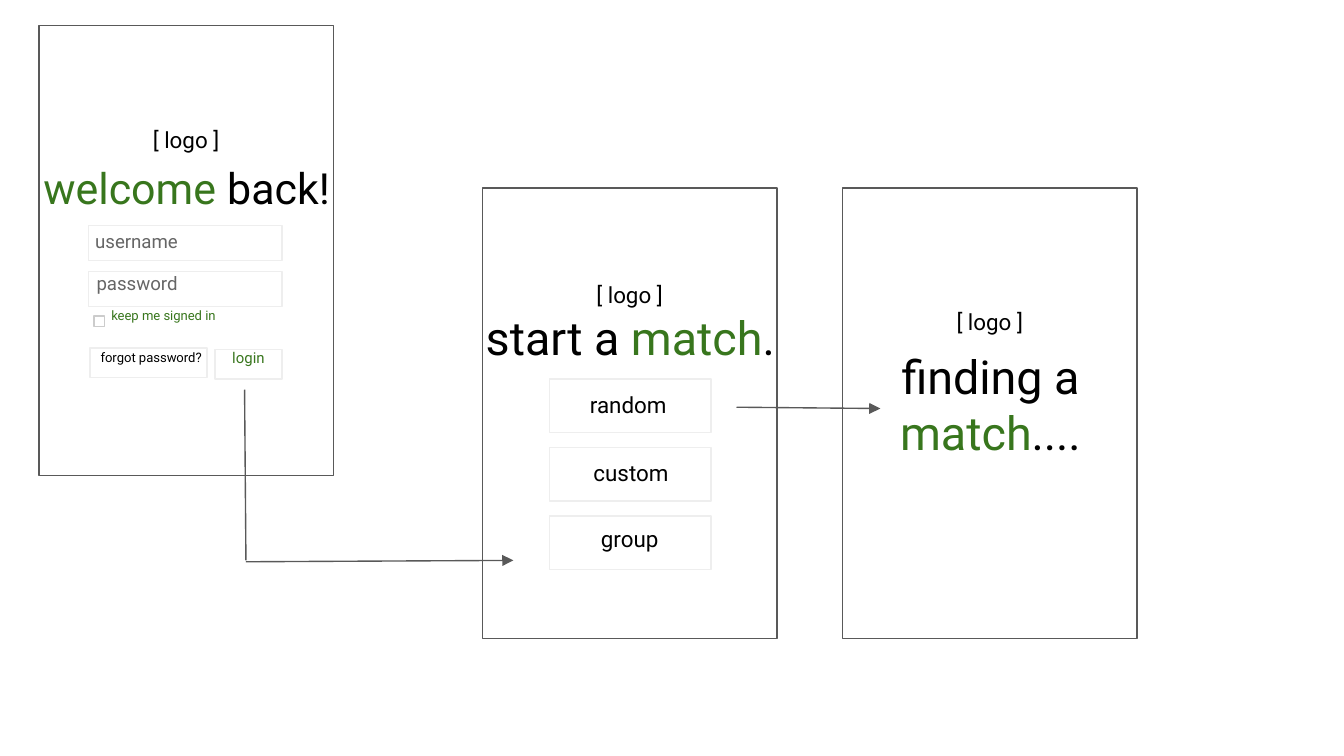
"""Build a wireframe slide of the login, match start and match search screens."""
from lxml import etree
from pptx import Presentation
from pptx import util as u
from pptx.dml.color import RGBColor
from pptx.enum import shapes, text
from pptx.oxml.ns import qn

COLORS = {
    "white": "FFFFFF",
    "black": "000000",
    "green": "38761D",
    "hint": "666666",
    "frame": "595959",
    "field": "EEEEEE",
    "checkbox": "CCCCCC",
}
FONT = "Roboto"
SCREEN_SIZE = (2.19, 3.35)
OPTION_SIZE = (1.2, 0.4)


def rgb(name):
    """Return the named palette colour."""
    return RGBColor.from_string(COLORS[name])


def add_box(slide, left, top, width, height, outline="field"):
    """Add a white rectangle with a thin outline."""
    box = slide.shapes.add_shape(
        shapes.MSO_SHAPE.RECTANGLE, *map(u.Inches, (left, top, width, height)))
    box.shadow.inherit = False
    box.fill.solid()
    box.fill.fore_color.rgb = rgb("white")
    box.line.color.rgb = rgb(outline)
    box.line.width = u.Pt(0.75)


def add_text(slide, parts, left, top, width, height, size=12, centered=True):
    """Add one paragraph made of (wording, colour) parts."""
    label = slide.shapes.add_textbox(*map(u.Inches, (left, top, width, height)))
    frame = label.text_frame
    frame.word_wrap = True
    frame.auto_size = text.MSO_AUTO_SIZE.SHAPE_TO_FIT_TEXT
    frame.margin_left = frame.margin_right = u.Inches(0.1)
    frame.margin_top = frame.margin_bottom = u.Inches(0.1)
    paragraph = frame.paragraphs[0]
    paragraph.alignment = text.PP_ALIGN.CENTER if centered else text.PP_ALIGN.LEFT
    for wording, color in parts:
        run = paragraph.add_run()
        run.text = wording
        run.font.name = FONT
        run.font.size = u.Pt(size)
        run.font.color.rgb = rgb(color)


def add_flow(slide, start, end, arrow=True):
    """Add a straight flow line, with an arrowhead at its end if wanted."""
    flow = slide.shapes.add_connector(
        shapes.MSO_CONNECTOR.STRAIGHT, *map(u.Inches, (*start, *end)))
    flow.line.color.rgb = rgb("frame")
    flow.line.width = u.Pt(0.75)
    properties = flow._element.spPr
    if arrow:
        etree.SubElement(properties.find(qn("a:ln")), qn("a:tailEnd"), type="triangle")
    etree.SubElement(properties, qn("a:effectLst"))


def add_screen(slide, left, top, logo_top, title, title_top, title_height, title_size):
    """Add a screen frame with its logo label and title."""
    add_box(slide, left, top, *SCREEN_SIZE, outline="frame")
    add_text(slide, title, left - 0.13, title_top, 2.46, title_height, size=title_size)
    add_text(slide, [("[ logo ]", "black")], left + 0.66, logo_top, 0.87, 0.4)


def add_login_screen(slide):
    """Add the login screen with its fields and buttons."""
    add_screen(slide, 0.29, 0.19, 0.84,
               [("welcome", "green"), (" back!", "black")], 1.1, 0.59, 23)
    for field_top in (1.68, 2.02):
        add_box(slide, 0.66, field_top, 1.44, 0.26)
    add_box(slide, 0.67, 2.59, 0.87, 0.22)
    add_box(slide, 1.6, 2.6, 0.5, 0.22)
    add_box(slide, 0.7, 2.35, 0.08, 0.08, outline="checkbox")
    for wording, color, left, top, width, height, size in (
        ("username", "hint", 0.61, 1.63, 1.15, 0.37, 10),
        ("password", "hint", 0.62, 1.94, 1.15, 0.37, 10),
        ("keep me signed in", "green", 0.73, 2.23, 1.1, 0.32, 7),
        ("forgot password?", "black", 0.65, 2.54, 1.15, 0.32, 7),
        ("login", "green", 1.63, 2.53, 0.54, 0.34, 8),
    ):
        add_text(slide, [(wording, color)], left, top, width, height,
                 size=size, centered=False)


def add_start_screen(slide):
    """Add the screen that offers three kinds of match."""
    add_screen(slide, 3.59, 1.4, 1.99,
               [("start a", "black"), (" match", "green"), (".", "black")],
               2.2, 0.62, 25)
    for index, (option, left, top) in enumerate(
            (("random", 4.1, 2.81), ("custom", 4.12, 3.32), ("group", 4.11, 3.81))):
        add_box(slide, 4.09, 2.82 + 0.51 * index, *OPTION_SIZE)
        add_text(slide, [(option, "black")], left, top, 1.15, 0.4)


def add_search_screen(slide):
    """Add the screen shown while a match is being found."""
    add_screen(slide, 6.27, 1.4, 2.19,
               [("finding a ", "black"), ("match", "green"), ("....", "black")],
               2.49, 1.04, 25)


def main():
    """Build and save the slide."""
    deck = Presentation()
    deck.slide_width = u.Inches(10)
    deck.slide_height = u.Inches(10 * 9 / 16)
    slide = deck.slides.add_slide(deck.slide_layouts[6])
    add_login_screen(slide)
    add_start_screen(slide)
    add_search_screen(slide)
    add_flow(slide, (1.82, 2.9), (1.83, 4.17), arrow=False)
    add_flow(slide, (1.83, 4.18), (3.82, 4.17))
    add_flow(slide, (5.48, 3.03), (6.55, 3.04))
    deck.save("out.pptx")


if __name__ == "__main__":
    main()
